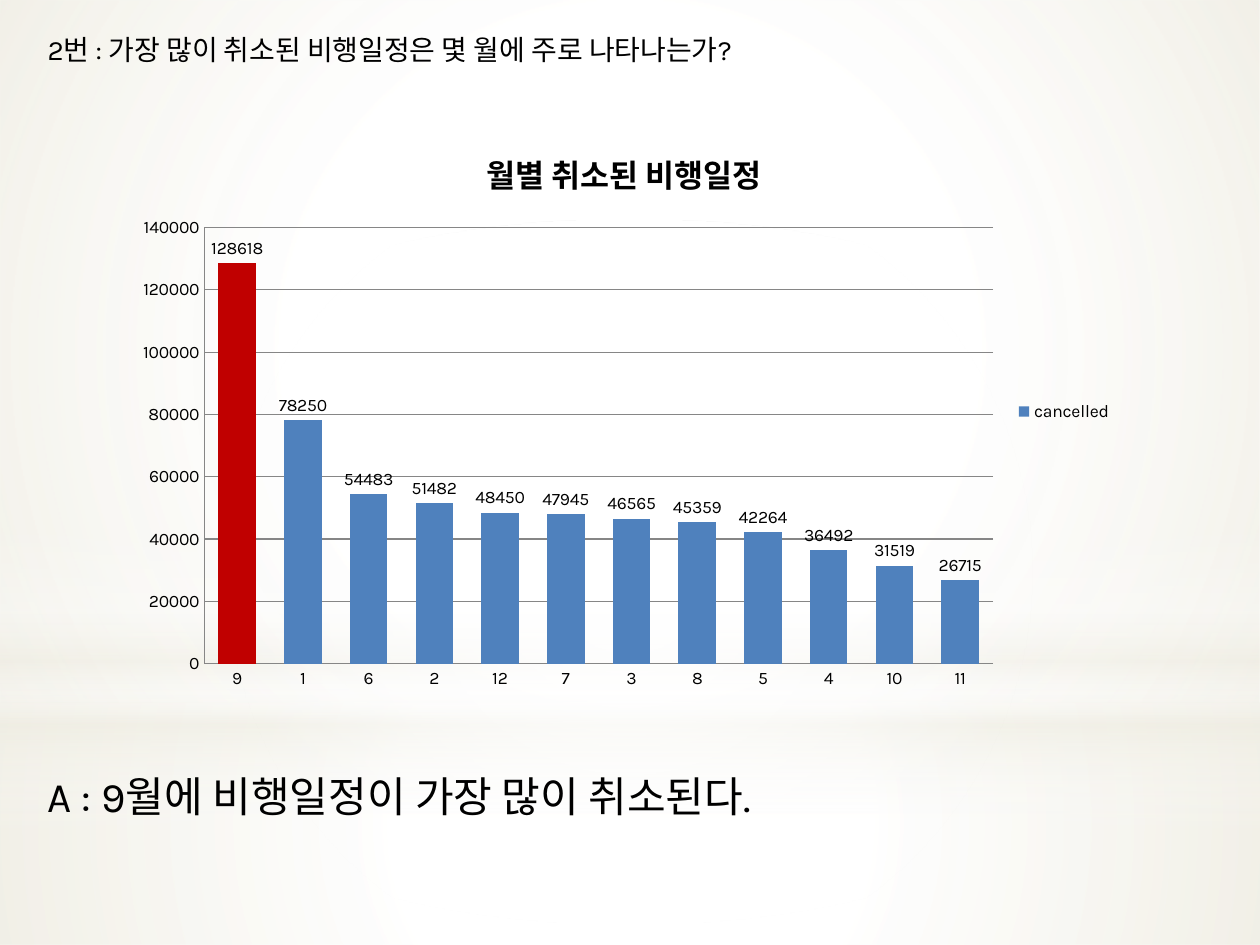
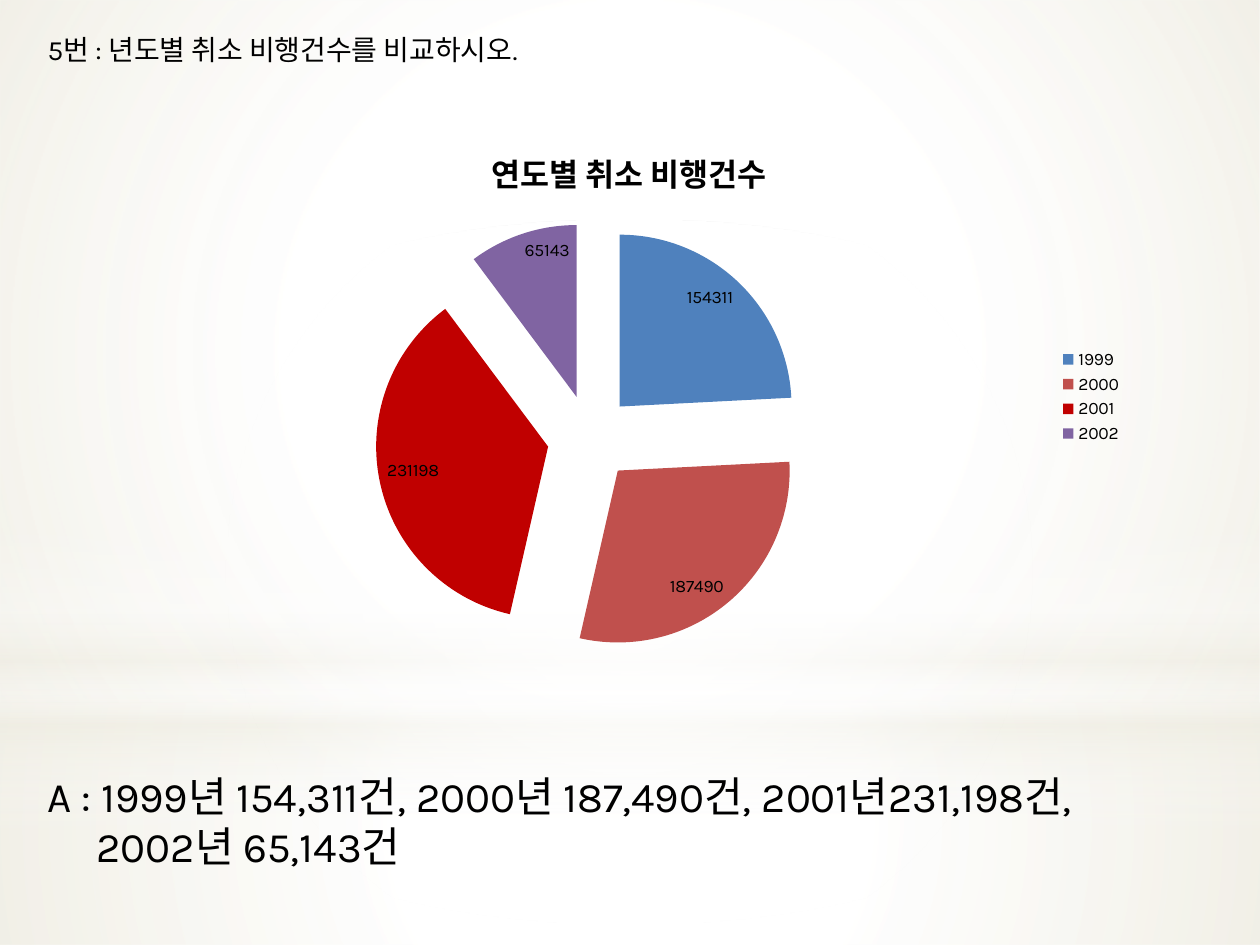
from pptx import Presentation
from pptx.chart.data import CategoryChartData as Data
from pptx.dml.color import RGBColor
from pptx.enum.chart import XL_CHART_TYPE as Kind, XL_LABEL_POSITION as Spot
from pptx.enum.chart import XL_LEGEND_POSITION as Side, XL_TICK_MARK as Tick
from pptx.enum.shapes import MSO_SHAPE as Form
from pptx.enum.text import MSO_ANCHOR as Anchor, MSO_AUTO_SIZE as Fit, PP_ALIGN as Align
from pptx.oxml import parse_xml
from pptx.oxml.ns import nsdecls
from pptx.util import Emu, Pt

FONT = "Karla"
BLACK, WHITE, CREAM = "000000", "FFFFFF", "EEECE1"
BLUE, BRICK, RED, PLUM, GRAY = "4F81BD", "C0504D", "C00000", "8064A2", "868686"


def px(*nums):
    return [Emu(round(n * 914400 / 126)) for n in nums]


def paint(fmt, tint):
    if hasattr(fmt, "solid"):
        fmt.solid()
        fmt = fmt.fore_color
    fmt.rgb = RGBColor.from_string(tint)


deck = Presentation()
deck.slide_width, deck.slide_height = px(1260, 945)
layout = deck.slide_layouts[1]

ROUND = ('<a:path path="circle"><a:fillToRect l="50000" t="50000" '
         'r="50000" b="50000"/></a:path>')
DOWN = '<a:lin ang="5400000" scaled="0"/>'
bands = [
    (Form.RECTANGLE, (0, 703, 1260, 242), ROUND,
     [(0, WHITE, 91), (37, WHITE, 76), (100, CREAM, 79)]),
    (Form.RECTANGLE, (0, 0, 1260, 703), ROUND,
     [(0, WHITE, 89), (48, WHITE, 62), (100, CREAM, 79)]),
    (Form.RECTANGLE, (0, 519, 1260, 315), DOWN,
     [(0, WHITE, 0), (29, WHITE, 30), (45, CREAM, 40),
      (55, WHITE, 26), (65, CREAM, 60), (100, WHITE, 0)]),
    (Form.OVAL, (0, 220, 1260, 703), ROUND,
     [(0, WHITE, 100), (56, WHITE, 0)]),
]

pages = [
    ("2번 : 가장 많이 취소된 비행일정은 몇 월에 주로 나타나는가?",
     ["A : 9월에 비행일정이 가장 많이 취소된다."],
     "월별 취소된 비행일정", Kind.COLUMN_CLUSTERED, (123, 123, 1002, 577),
     "cancelled", ["9", "1", "6", "2", "12", "7", "3", "8", "5", "4", "10", "11"],
     [128618, 78250, 54483, 51482, 48450, 47945,
      46565, 45359, 42264, 36492, 31519, 26715],
     [RED], Spot.OUTSIDE_END),
    ("5번 : 년도별 취소 비행건수를 비교하시오.",
     ["A : 1999년 154,311건, 2000년 187,490건, 2001년231,198건,",
      "2002년 65,143건"],
     "연도별 취소 비행건수", Kind.PIE, (123, 123, 1012, 547),
     "Series 1", ["1999", "2000", "2001", "2002"],
     [154311, 187490, 231198, 65143],
     [BLUE, BRICK, RED, PLUM], Spot.INSIDE_END),
]

slides = [deck.slides.add_slide(layout) for page in pages]

tree = deck.slide_master.shapes.element
for at, (form, box, way, stops) in enumerate(bands):
    band = slides[0].shapes.add_shape(form, *px(*box))
    band.shadow.inherit = False
    band.line.fill.background()
    marks = "".join(
        f'<a:gs pos="{pos * 1000}"><a:srgbClr val="{tint}">'
        f'<a:alpha val="{alpha * 1000}"/></a:srgbClr></a:gs>'
        for pos, tint, alpha in stops)
    band.element.spPr.insert(2, parse_xml(
        f'<a:gradFill {nsdecls("a")} rotWithShape="1">'
        f'<a:gsLst>{marks}</a:gsLst>{way}</a:gradFill>'))
    band.element.nvSpPr.cNvPr.set("id", str(100 + at))
    tree.insert(2 + at, band.element)

for slide, page in zip(slides, pages):
    ask, answer, name, kind, box, label, cats, vals, tints, spot = page
    title, body = slide.placeholders
    for holder, lines, size, place in [
            (title, [ask], 16, (35, 26, 1187, 47)),
            (body, answer, 24, (35, 764, 1187, 115))]:
        holder.left, holder.top, holder.width, holder.height = px(*place)
        frame = holder.text_frame
        frame.text = "\n".join(lines)
        frame.auto_size = Fit.NONE
        frame.word_wrap = False
        frame.vertical_anchor = Anchor.TOP
        for row, para in enumerate(frame.paragraphs):
            para.alignment = Align.LEFT
            para.space_before = Pt(0)
            para.font.name, para.font.size = FONT, Pt(size)
            paint(para.font.color, BLACK)
            props = para._p.get_or_add_pPr()
            props.set("marL", str(px(49 * row)[0]))
            props.set("indent", "0")
            props.insert_element_before(
                parse_xml(f'<a:buNone {nsdecls("a")}/>'), "a:tabLst", "a:defRPr")

    data = Data()
    data.categories = cats
    data.add_series(label, vals)
    chart = slide.shapes.add_chart(kind, *px(*box), data).chart
    chart.font.name, chart.font.size = FONT, Pt(10)
    paint(chart.font.color, BLACK)
    chart.has_title = True
    chart.chart_title.include_in_layout = False
    head = chart.chart_title.text_frame
    head.text = name
    font = head.paragraphs[0].font
    font.name, font.size, font.bold = FONT, Pt(18), True
    paint(font.color, BLACK)
    chart.has_legend = True
    chart.legend.position = Side.RIGHT
    chart.legend.include_in_layout = False

    plot = chart.plots[0]
    plot.vary_by_categories = kind == Kind.PIE
    series = plot.series[0]
    paint(series.format.fill, BLUE)
    for spot_no, tint in enumerate(tints):
        paint(series.points[spot_no].format.fill, tint)
    tags = series.data_labels
    tags.show_value = True
    tags.position = spot

    if kind == Kind.PIE:
        series.format.element.spPr.addnext(
            parse_xml(f'<c:explosion {nsdecls("c")} val="25"/>')) if hasattr(
            series.format, "element") else series._element.spPr.addnext(
            parse_xml(f'<c:explosion {nsdecls("c")} val="25"/>'))
    else:
        plot.gap_width = 75
        for axis in (chart.category_axis, chart.value_axis):
            axis.major_tick_mark = axis.minor_tick_mark = Tick.NONE
            paint(axis.format.line.color, GRAY)
        chart.value_axis.has_major_gridlines = True
        paint(chart.value_axis.major_gridlines.format.line.color, GRAY)

deck.save("out.pptx")
